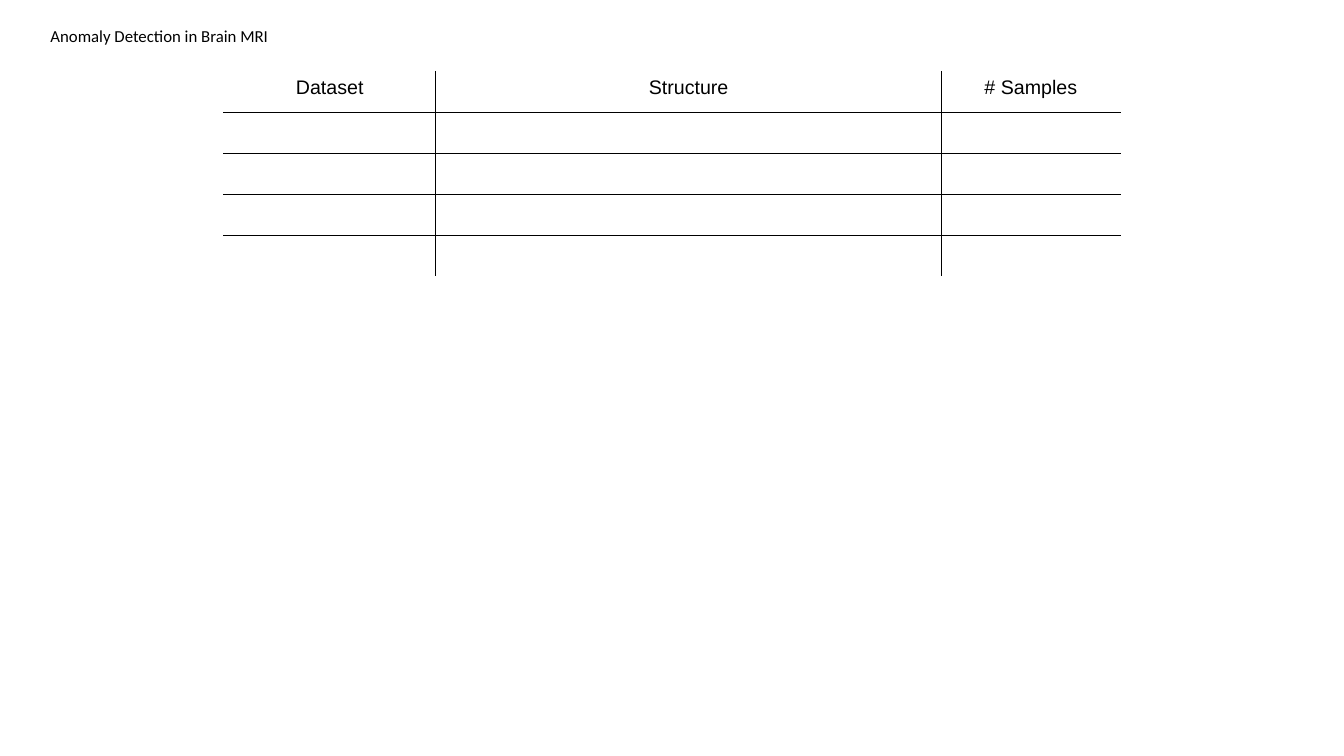
from lxml.etree import SubElement
from pptx import Presentation
from pptx.dml.color import RGBColor
from pptx.enum.text import MSO_ANCHOR, MSO_AUTO_SIZE, PP_ALIGN
from pptx.oxml.ns import qn
from pptx.util import Inches, Pt

TITLE = "Anomaly Detection in Brain MRI"
HEADERS = ["Dataset", "Structure", "# Samples"]
COL_WIDTHS = [2.1, 5.02, 1.77]
ROWS, ROW_HEIGHT = 5, 0.406
TABLE_LEFT, TABLE_TOP = 2.22, 0.71
INK, PAPER = "000000", "FFFFFF"


def set_font(p, name, size):
    p.font.name = name
    p.font.size = Pt(size)
    p.font.color.rgb = RGBColor.from_string(INK)


def set_borders(cell, colors):
    """Draw 1 pt borders, given as a dict of side (L, R, T, B) to colour."""
    tcPr = cell._tc.get_or_add_tcPr()
    for side, color in colors.items():
        ln = SubElement(tcPr, qn("a:ln" + side), w=str(Pt(1)))
        fill = SubElement(ln, qn("a:solidFill"))
        SubElement(fill, qn("a:srgbClr"), val=color)


def add_title(s):
    sp = s.shapes.title
    sp.left, sp.top, sp.width, sp.height = map(Inches, (0.4, 0.22, 5.89, 0.27))
    tf = sp.text_frame
    tf.text = TITLE
    tf.auto_size = MSO_AUTO_SIZE.NONE
    tf.vertical_anchor = MSO_ANCHOR.MIDDLE
    p = tf.paragraphs[0]
    p.alignment = PP_ALIGN.LEFT
    set_font(p, "Calibri", 12)


def add_dataset_table(s):
    cols = len(HEADERS)
    table = s.shapes.add_table(
        ROWS, cols, Inches(TABLE_LEFT), Inches(TABLE_TOP),
        Inches(sum(COL_WIDTHS)), Inches(ROWS * ROW_HEIGHT)).table
    table.first_row = table.horz_banding = False
    for col, width in zip(table.columns, COL_WIDTHS):
        col.width = Inches(width)
    for r in range(ROWS):
        for c in range(cols):
            cell = table.cell(r, c)
            cell.text = HEADERS[c] if r == 0 else ""
            p = cell.text_frame.paragraphs[0]
            p.alignment = PP_ALIGN.CENTER
            set_font(p, "Arial", 14)
            outer = {"L": c == 0, "R": c == cols - 1,
                     "T": r == 0, "B": r == ROWS - 1}
            set_borders(cell, {side: PAPER if edge else INK
                               for side, edge in outer.items()})
            cell.fill.background()


prs = Presentation()
prs.slide_width, prs.slide_height = Inches(13.33), Inches(7.5)
s = prs.slides.add_slide(prs.slide_layouts[5])
add_dataset_table(s)
add_title(s)
prs.save("out.pptx")
